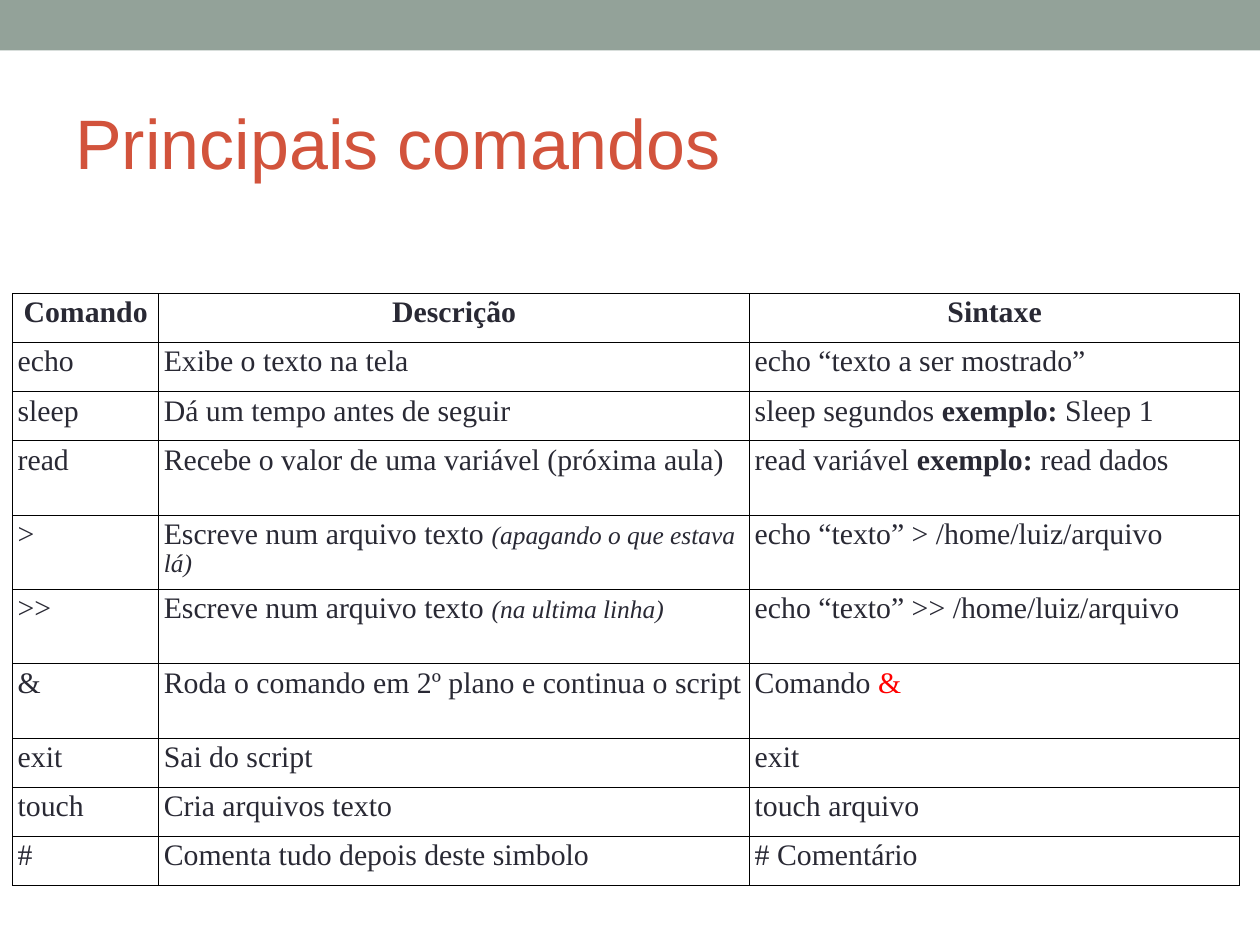
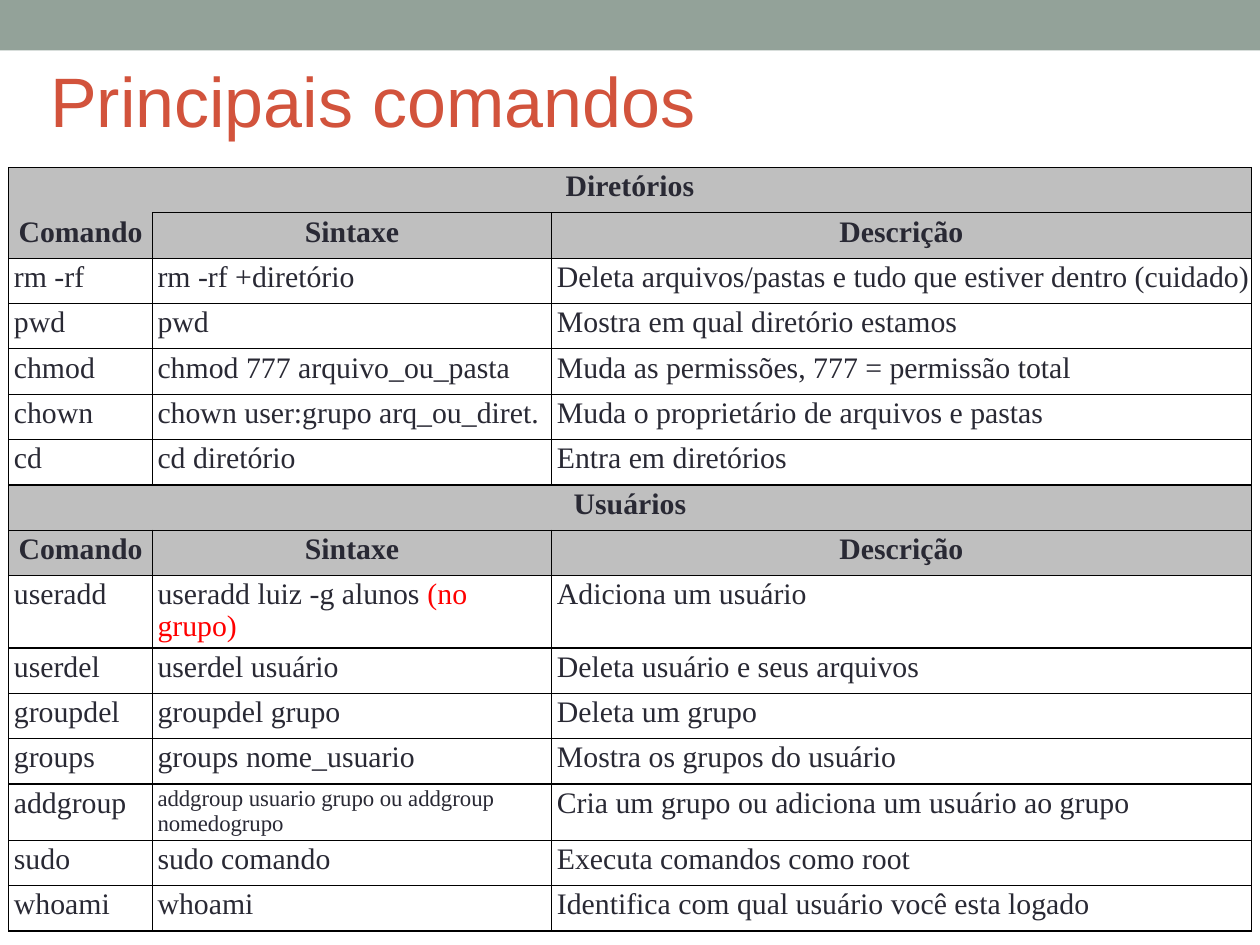
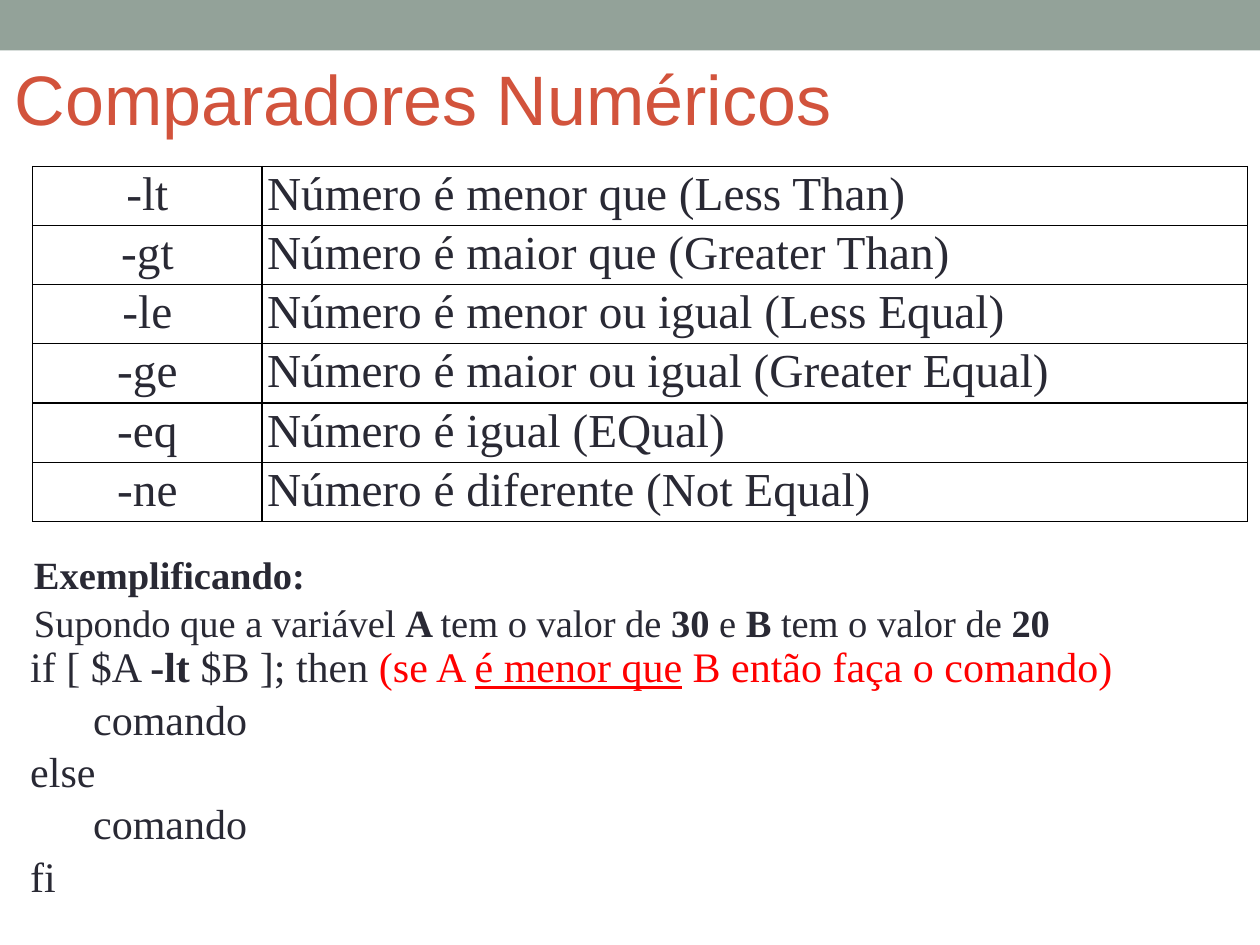
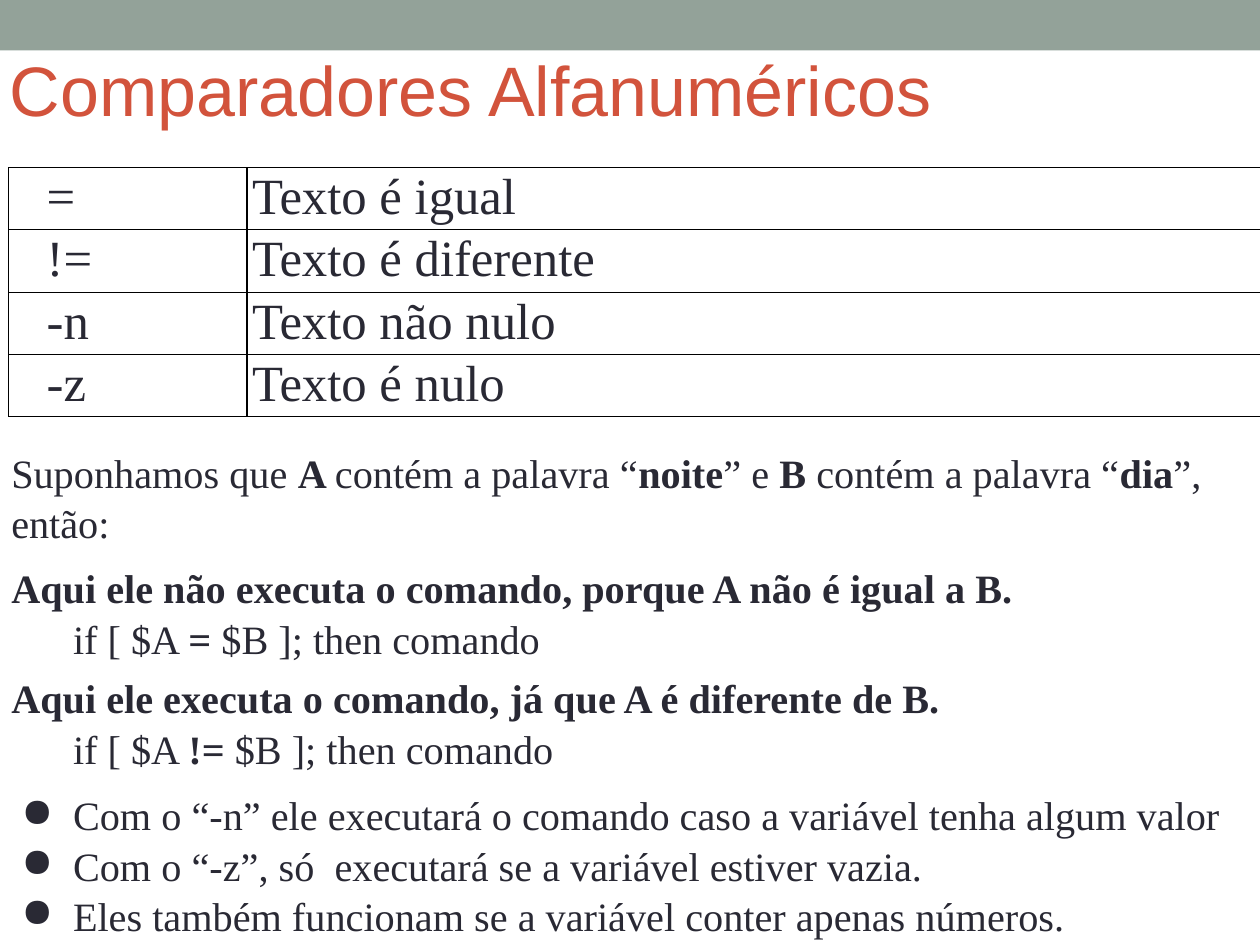
"""Builds four slides on shell script commands and comparison operators."""
from lxml.etree import SubElement
from pptx import Presentation
from pptx.dml.color import RGBColor
from pptx.enum.shapes import MSO_SHAPE as Shape
from pptx.enum.text import MSO_ANCHOR as Anchor, PP_ALIGN as Align
from pptx.oxml.ns import qn
from pptx.util import Inches, Pt

BAND, TITLE, INK, RED, GRAY, BLACK = "93A299", "D2533C", "292934", "FF0000", "BFBFBF", "000000"
SANS, SERIF = "Arial", "Times New Roman"
NO_GRID = "{2D5ABB26-0587-4C30-8999-92F81FD0307C}"
BOLD = {"bold": True}
ALERT = {"color": RED}
ASIDE = {"italic": True, "size": 14.5}
SMALL = {"size": 13}

HEADER = "Comando", "Sintaxe", "Descrição"
SCRIPTING = [
    ("Comando", "Descrição", "Sintaxe"),
    ("echo", "Exibe o texto na tela", "echo “texto a ser mostrado”"),
    ("sleep", "Dá um tempo antes de seguir",
     ["sleep segundos ", ("exemplo: ", BOLD), "Sleep 1"]),
    ("read", "Recebe o valor de uma variável (próxima aula)",
     ["read variável ", ("exemplo: ", BOLD), "read dados"]),
    (">", ["Escreve num arquivo texto ", ("(apagando o que estava lá)", ASIDE)],
     "echo “texto” > /home/luiz/arquivo"),
    (">>", ["Escreve num arquivo texto ", ("(na ultima linha)", ASIDE)],
     "echo “texto” >> /home/luiz/arquivo"),
    ("&", "Roda o comando em 2º plano e continua o script", ["Comando ", ("&", ALERT)]),
    ("exit", "Sai do script", "exit"),
    ("touch", "Cria arquivos texto", "touch arquivo"),
    ("#", "Comenta tudo depois deste simbolo", "# Comentário"),
]
ADMIN = [
    ("Diretórios",),
    HEADER,
    ("rm -rf", "rm -rf +diretório", "Deleta arquivos/pastas e tudo que estiver dentro (cuidado)"),
    ("pwd", "pwd", "Mostra em qual diretório estamos"),
    ("chmod", "chmod 777 arquivo_ou_pasta", "Muda as permissões, 777 = permissão total"),
    ("chown", "chown user:grupo arq_ou_diret.", "Muda o proprietário de arquivos e pastas"),
    ("cd", "cd diretório", "Entra em diretórios"),
    ("Usuários",),
    HEADER,
    ("useradd", ["useradd luiz -g alunos ", ("(no grupo)", ALERT)], "Adiciona um usuário"),
    ("userdel", "userdel usuário", "Deleta usuário e seus arquivos"),
    ("groupdel", "groupdel grupo", "Deleta um grupo"),
    ("groups", "groups nome_usuario", "Mostra os grupos do usuário"),
    ("addgroup", [("addgroup usuario grupo ou addgroup nomedogrupo", SMALL)],
     "Cria um grupo ou adiciona um usuário ao grupo"),
    ("sudo", "sudo comando", "Executa comandos como root"),
    ("whoami", "whoami", "Identifica com qual usuário você esta logado"),
]
NUMERIC = [
    ("-lt", "Número é menor que (Less Than)"),
    ("-gt", "Número é maior que (Greater Than)"),
    ("-le", "Número é menor ou igual (Less Equal)"),
    ("-ge", "Número é maior ou igual (Greater Equal)"),
    ("-eq", "Número é igual (EQual)"),
    ("-ne", "Número é diferente (Not Equal)"),
]
ALPHANUMERIC = [
    ("=", "Texto é igual"),
    ("!=", "Texto é diferente"),
    ("-n", "Texto não nulo"),
    ("-z", "Texto é nulo"),
]

PLAIN = {"left": 0.01}
CODE = {"left": 0.01, "first": 0.49, "before": 0.7}
BULLET = {"left": 0.5, "first": -0.41, "bullet": "●", "align": Align.JUSTIFY}
EXAMPLE = [
    ([("Exemplificando:", BOLD)], PLAIN),
    (["Supondo que a variável ", ("A ", BOLD), "tem o valor de ", ("30 ", BOLD), "e ",
      ("B ", BOLD), "tem o valor de ", ("20", BOLD)], PLAIN),
]
IF_ELSE = [
    (["if [ $A ", ("-lt ", BOLD), "$B ]; then ", ("(se A ", ALERT),
      ("é menor que", {"color": RED, "underline": True}),
      (" B então faça o comando)", ALERT)], PLAIN),
    ("\tcomando", PLAIN),
    ("else", PLAIN),
    ("\tcomando", PLAIN),
    ("fi", PLAIN),
]
TEXT_TESTS = [
    (["Suponhamos que ", ("A ", BOLD), "contém a palavra “", ("noite", BOLD), "” e ",
      ("B ", BOLD), "contém a palavra “", ("dia", BOLD), "”, então:"], PLAIN),
    ([("Aqui ele não executa o comando, porque A não é igual a B.", BOLD)],
     PLAIN | {"before": 8.6}),
    (["if [ $A ", ("= ", BOLD), "$B ]; then comando"], CODE),
    ([("Aqui ele executa o comando, já que A é diferente de B.", BOLD)],
     PLAIN | {"before": 4.8}),
    (["if [ $A ", ("!= ", BOLD), "$B ]; then comando"], CODE),
    ("Com o “-n” ele executará o comando caso a variável tenha algum valor",
     BULLET | {"before": 9.2}),
    ("Com o “-z”, só  executará se a variável estiver vazia.", BULLET),
    ("Eles também funcionam se a variável conter apenas números.", BULLET),
]

ENTRY = {"left": 0.04}
CENTERED = {"align": Align.CENTER}
SLIDES = [
    {"title": ("Principais comandos", 0.5, 0.58),
     "table": {"rows": SCRIPTING, "at": (0.1, 2.33), "widths": (1.16, 4.69, 3.89),
               "heights": [0.39] * 3 + [0.59] * 4 + [0.39] * 3, "size": 17}},
    {"title": ("Principais comandos", 0.3, 0.25),
     "table": {"rows": ADMIN, "at": (0.07, 1.33), "widths": (1.14, 3.17, 5.55),
               "heights": [0.36] * len(ADMIN), "size": 17, "header_fill": GRAY}},
    {"title": ("Comparadores Numéricos", 0.02, 0.23),
     "table": {"rows": NUMERIC, "at": (0.26, 1.32), "widths": (1.82, 7.82),
               "heights": [0.47] * len(NUMERIC), "size": 27, "lead": CENTERED},
     "texts": [(EXAMPLE, (0.26, 4.33, 9.64, 1.24), 22, 0.03),
               (IF_ELSE, (0.23, 5.04, 9.69, 2.05), 24, 0.03)]},
    {"title": ("Comparadores Alfanuméricos", -0.02, 0.16),
     "table": {"rows": ALPHANUMERIC, "at": (0.07, 1.33), "widths": (1.89, 8.11),
               "heights": [0.42] * len(ALPHANUMERIC), "size": 29, "lead": {"left": 0.3}},
     "texts": [(TEXT_TESTS, (0.08, 3.53, 10, 3.83), 23, 0.01)]},
]


def rgb(color):
    """Turn a hex string into a colour."""
    return RGBColor.from_string(color)


def write(paragraph, content, size, font=SERIF, color=INK, base=None):
    """Add the content run by run."""
    for part in [content] if isinstance(content, str) else content:
        words, own = (part, {}) if isinstance(part, str) else part
        style = {"size": size, "color": color} | (base or {}) | own
        run = paragraph.add_run()
        run.text = words
        run.font.name = font
        run.font.size = Pt(style["size"])
        run.font.color.rgb = rgb(style["color"])
        run.font.bold = style.get("bold", False)
        run.font.italic = style.get("italic", False)
        run.font.underline = style.get("underline", False)


def arrange(paragraph, spacing, left=0, first=0, before=0, align=Align.LEFT, bullet=None):
    """Set a paragraph's spacing, indents, alignment and bullet."""
    paragraph.alignment = align
    paragraph.line_spacing = spacing
    paragraph.space_before = Pt(before)
    props = paragraph._p.get_or_add_pPr()
    props.set("marL", str(Inches(left)))
    props.set("indent", str(Inches(first)))
    if bullet:
        SubElement(SubElement(props, qn("a:buClr")), qn("a:srgbClr"), val=INK)
        SubElement(props, qn("a:buChar"), char=bullet)


def set_margins(area, left=0, top=0, right=0, bottom=0):
    """Set the inner margins of a cell or text frame."""
    area.margin_left, area.margin_right = Inches(left), Inches(right)
    area.margin_top, area.margin_bottom = Inches(top), Inches(bottom)


def add_frame(slide, box):
    """Add a wrapping text box and return its frame."""
    frame = slide.shapes.add_textbox(*map(Inches, box)).text_frame
    frame.word_wrap = True
    return frame


def add_heading(slide, title, left, top):
    """Draw the top band and the slide title."""
    band = slide.shapes.add_shape(Shape.RECTANGLE, 0, 0, Inches(10), Inches(0.4))
    band.shadow.inherit = False
    band.fill.solid()
    band.fill.fore_color.rgb = rgb(BAND)
    band.line.fill.background()
    frame = add_frame(slide, (left, top, 9, 1.08))
    frame.vertical_anchor = Anchor.MIDDLE
    set_margins(frame, 0.1, 0.05, 0.1, 0.05)
    write(frame.paragraphs[0], title, 40, SANS, TITLE)


def add_text(slide, lines, box, size, top_margin):
    """Add a block of paragraphs."""
    frame = add_frame(slide, box)
    set_margins(frame, top=top_margin)
    for index, (content, layout) in enumerate(lines):
        paragraph = frame.add_paragraph() if index else frame.paragraphs[0]
        arrange(paragraph, 1.04, **layout)
        write(paragraph, content, size)


def dress(cell, sides, fill):
    """Give a cell its margins, borders and fill."""
    set_margins(cell, top=0.03)
    for side in sides:
        line = SubElement(cell._tc.get_or_add_tcPr(), qn(f"a:ln{side}"), w=str(Pt(0.75)))
        SubElement(SubElement(line, qn("a:solidFill")), qn("a:srgbClr"), val=BLACK)
    if fill:
        cell.fill.solid()
        cell.fill.fore_color.rgb = rgb(fill)
    else:
        cell.fill.background()


def add_grid(slide, rows, at, widths, heights, size, lead=ENTRY, header_fill=None):
    """Add a bordered table; a row with one entry spans all columns."""
    box = (*at, sum(widths), sum(heights))
    table = slide.shapes.add_table(len(rows), len(widths), *map(Inches, box)).table
    table.first_row = table.horz_banding = False
    table._tbl.tblPr.find(qn("a:tableStyleId")).text = NO_GRID
    for column, width in zip(table.columns, widths):
        column.width = Inches(width)
    after_banner = False
    for row, height, entries in zip(table.rows, heights, rows):
        row.height = Inches(height)
        banner = len(entries) == 1
        header = banner or entries[0] == "Comando"
        cells = list(row.cells)
        if banner:
            cells[0].merge(cells[-1])
        for index, cell in enumerate(cells):
            sides = "LRT" if banner else "LRB" if after_banner and index == 0 else "LRTB"
            dress(cell, sides, header_fill if header else None)
        for index, (cell, content) in enumerate(zip(cells, entries)):
            paragraph = cell.text_frame.paragraphs[0]
            layout = CENTERED if header else ENTRY if index else lead
            arrange(paragraph, 0.96, **layout)
            write(paragraph, content, size, base=BOLD if header else None)
        after_banner = banner


def main():
    """Build and save the presentation."""
    deck = Presentation()
    deck.slide_width, deck.slide_height = Inches(10), Inches(7.5)
    for plan in SLIDES:
        slide = deck.slides.add_slide(deck.slide_layouts[6])
        add_heading(slide, *plan["title"])
        add_grid(slide, **plan["table"])
        for block in plan.get("texts", []):
            add_text(slide, *block)
    deck.save("out.pptx")


if __name__ == "__main__":
    main()
